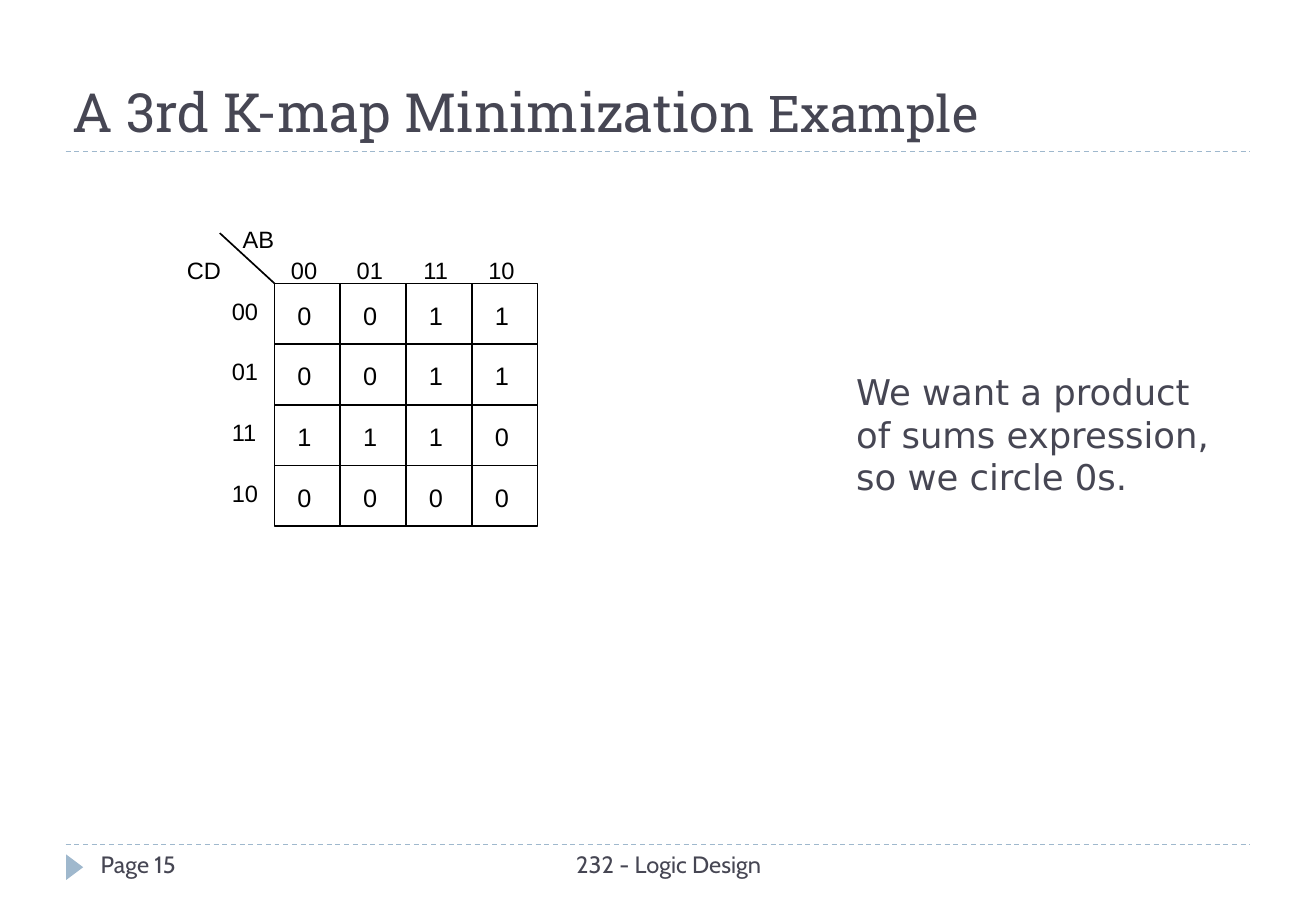
"""Build the Karnaugh map slide that introduces a product of sums example."""
from lxml import etree
from pptx import Presentation
from pptx.dml.color import RGBColor
from pptx.enum import dml, shapes, text
from pptx.oxml import ns
from pptx.util import Pt

BLACK = RGBColor(0x00, 0x00, 0x00)
SLATE = RGBColor(0x46, 0x46, 0x53)
BLUE = RGBColor(0x9F, 0xB8, 0xCD)

GRAY_CODE = ["00", "01", "11", "10"]
CELL_VALUES = ["0011", "0011", "1110", "0000"]
MAP_LEFT, MAP_TOP = 162.7, 168
CELL_WIDTH, CELL_HEIGHT = 39, 36
MAP_RIGHT = MAP_LEFT + 4 * CELL_WIDTH
MAP_BOTTOM = MAP_TOP + 4 * CELL_HEIGHT

presentation = Presentation()
presentation.slide_width = Pt(780)
presentation.slide_height = Pt(540)
slide = presentation.slides.add_slide(presentation.slide_layouts[5])


def add_line(x1, y1, x2, y2, color=BLACK, width=1, dash=None):
    line = slide.shapes.add_connector(
        shapes.MSO_CONNECTOR.STRAIGHT, Pt(x1), Pt(y1), Pt(x2), Pt(y2))
    line.line.color.rgb = color
    line.line.width = Pt(width)
    line.line.dash_style = dash
    etree.SubElement(line._element.spPr, ns.qn("a:effectLst"))


def add_label(content, left, top, width, height, size=14, font="Arial", color=BLACK,
              wrap=False, align=text.PP_ALIGN.LEFT, spacing=None):
    box = slide.shapes.add_textbox(Pt(left), Pt(top), Pt(width), Pt(height))
    frame = box.text_frame
    frame.word_wrap = wrap
    paragraph = frame.paragraphs[0]
    paragraph.alignment = align
    paragraph.line_spacing = spacing
    run = paragraph.add_run()
    run.text = content
    run.font.size = Pt(size)
    run.font.name = font
    run.font.color.rgb = color
    return frame


for rule_y in (500.4, 90):
    add_line(38.9, rule_y, 740.9, rule_y, BLUE, 0.75, dml.MSO_LINE.DASH)

marker = slide.shapes.add_shape(
    shapes.MSO_SHAPE.ISOSCELES_TRIANGLE, Pt(36.7), Pt(509), Pt(15.1), Pt(10.1))
marker.rotation = 90
marker.shadow.inherit = False
marker.fill.solid()
marker.fill.fore_color.rgb = BLUE
marker.line.fill.background()

add_label("232 - Logic Design", 247, 500.4, 298.8, 28.8, font="Cabin", color=SLATE,
          wrap=True, align=text.PP_ALIGN.CENTER)
add_label("Page 15", 52.6, 500.4, 169.2, 28.8, font="Cabin", color=SLATE, wrap=True)

border = slide.shapes.add_shape(
    shapes.MSO_SHAPE.RECTANGLE, Pt(MAP_LEFT), Pt(MAP_TOP),
    Pt(4 * CELL_WIDTH), Pt(4 * CELL_HEIGHT))
border.shadow.inherit = False
border.fill.background()
border.line.color.rgb = BLACK
border.line.width = Pt(1)

for index in range(1, 4):
    row_y = MAP_TOP + index * CELL_HEIGHT
    column_x = MAP_LEFT + index * CELL_WIDTH
    add_line(MAP_LEFT, row_y, MAP_RIGHT, row_y)
    add_line(column_x, MAP_TOP, column_x, MAP_BOTTOM)

add_line(MAP_LEFT, MAP_TOP, 130.3, 138.2)
add_label("AB", 136.8, 131.8, 33.8, 23, spacing=0.9)
add_label("CD", 103.7, 149.8, 35.3, 23, spacing=0.9)

for index, code in enumerate(GRAY_CODE):
    add_label(code + " ", MAP_LEFT + index * CELL_WIDTH, 149.8, CELL_WIDTH, 23,
              wrap=True, align=text.PP_ALIGN.CENTER, spacing=0.9)
    add_label(code, 130.3, MAP_TOP + 6.2 + index * CELL_HEIGHT, 31, 23, spacing=0.9)

for row, values in enumerate(CELL_VALUES):
    for column, value in enumerate(values):
        add_label(value, MAP_LEFT + 6.5 + column * CELL_WIDTH,
                  MAP_TOP + 6.2 + row * CELL_HEIGHT, 23.8, 25.9, size=15)

note = add_label("We want a product of sums expression, so we circle 0s.",
                 500.4, 215.3, 234, 84.2, size=21, font="DejaVu Sans",
                 color=SLATE, wrap=True)
note.vertical_anchor = text.MSO_ANCHOR.MIDDLE

title = slide.shapes.title
title.left, title.top, title.width, title.height = Pt(36), Pt(18), Pt(692.6), Pt(70.6)
title.text_frame.auto_size = text.MSO_AUTO_SIZE.NONE
title.text_frame.vertical_anchor = text.MSO_ANCHOR.BOTTOM
paragraph = title.text_frame.paragraphs[0]
paragraph.alignment = text.PP_ALIGN.LEFT
for content, size in (("A 3rd K-map Minimization", 32), (" Example", 30)):
    run = paragraph.add_run()
    run.text = content
    run.font.size = Pt(size)
    run.font.name = "Roboto Slab"
    run.font.color.rgb = SLATE

presentation.save("out.pptx")
